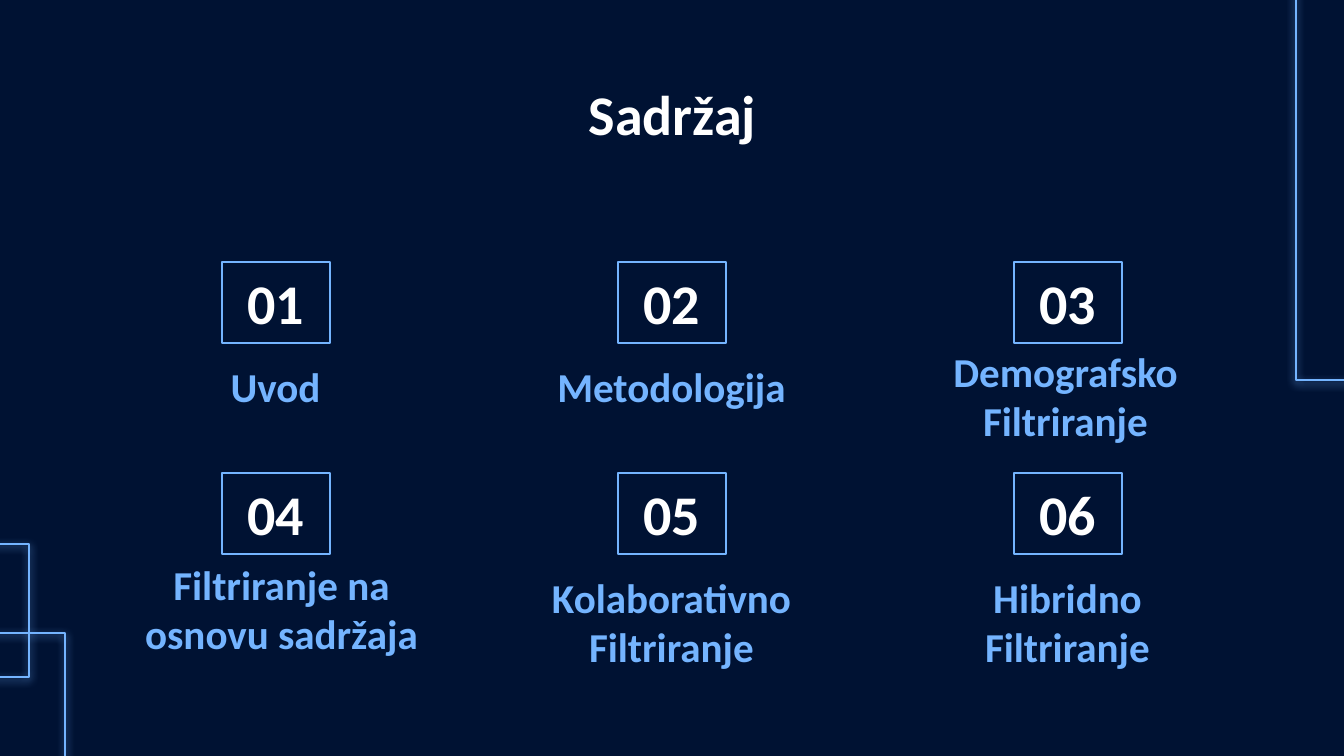
from pptx import Presentation
from pptx.dml.color import RGBColor
from pptx.enum.shapes import MSO_SHAPE
from pptx.enum.text import MSO_ANCHOR, PP_ALIGN
from pptx.oxml import parse_xml
from pptx.oxml.ns import nsdecls
from pptx.util import Emu, Pt

NAVY, BLUE, WHITE = "001233", "74B4FF", "FFFFFF"
FRAMES = [(-12, 633, 77, 133), (1296, -46, 63, 426), (-48, 544, 77, 133)]
TOPICS = [
    (["Uvod"], 0, 0),
    (["Metodologija"], 0, 0),
    (["Demografsko", "Filtriranje"], -2, -15),
    (["Filtriranje na osnovu sadržaja"], 6, -13),
    (["Kolaborativno Filtriranje"], 0, 0),
    (["Hibridno Filtriranje"], 0, 0),
]


def px(n):
    return Emu(round(n * 914400 / 134.4))


def color(value):
    return RGBColor.from_string(value)


def add_outline(s, *box):
    sp = s.shapes.add_shape(MSO_SHAPE.RECTANGLE, *map(px, box))
    sp.shadow.inherit = False
    sp.fill.background()
    sp.line.color.rgb = color(BLUE)
    sp.line.width = Pt(0.75)
    return sp


def add_frame(s, *box):
    sp = add_outline(s, *box)
    effects = sp._element.spPr.find("{*}effectLst")
    effects.append(parse_xml(
        f'<a:outerShdw {nsdecls("a")} blurRad="57150" dist="19050" dir="5400000" '
        f'algn="bl" rotWithShape="0"><a:srgbClr val="{BLUE}"/></a:outerShdw>'))


def write(sp, lines, size, hue, anchor=MSO_ANCHOR.TOP):
    tf = sp.text_frame
    tf.word_wrap = True
    tf.vertical_anchor = anchor
    tf.margin_left = tf.margin_right = tf.margin_top = tf.margin_bottom = Pt(7.2)
    tf.text = "\n".join(lines)
    for p in tf.paragraphs:
        p.alignment = PP_ALIGN.CENTER
        p.font.name = "Calibri"
        p.font.size = Pt(size)
        p.font.bold = True
        p.font.color.rgb = color(hue)


def add_text(s, lines, size, hue, *box):
    write(s.shapes.add_textbox(*map(px, box)), lines, size, hue)


def add_topic(s, index, lines, dx, dy):
    row, col = divmod(index, 3)
    left, top = 222 + 396 * col, 262 + 211 * row
    sp = add_outline(s, left, top, 108, 81)
    write(sp, [f"{index + 1:02}"], 30, WHITE, MSO_ANCHOR.MIDDLE)
    add_text(s, lines, 22, BLUE, left - 116 + dx, top + 86 + dy, 339, 81)


def main():
    prs = Presentation()
    prs.slide_width, prs.slide_height = px(1344), px(756)
    s = prs.slides.add_slide(prs.slide_layouts[6])
    s.background.fill.solid()
    s.background.fill.fore_color.rgb = color(NAVY)
    for frame in FRAMES:
        add_frame(s, *frame)
    add_text(s, ["Sadržaj"], 30, WHITE, 106, 66, 1133, 85)
    for index, topic in enumerate(TOPICS):
        add_topic(s, index, *topic)
    prs.save("out.pptx")


if __name__ == "__main__":
    main()
